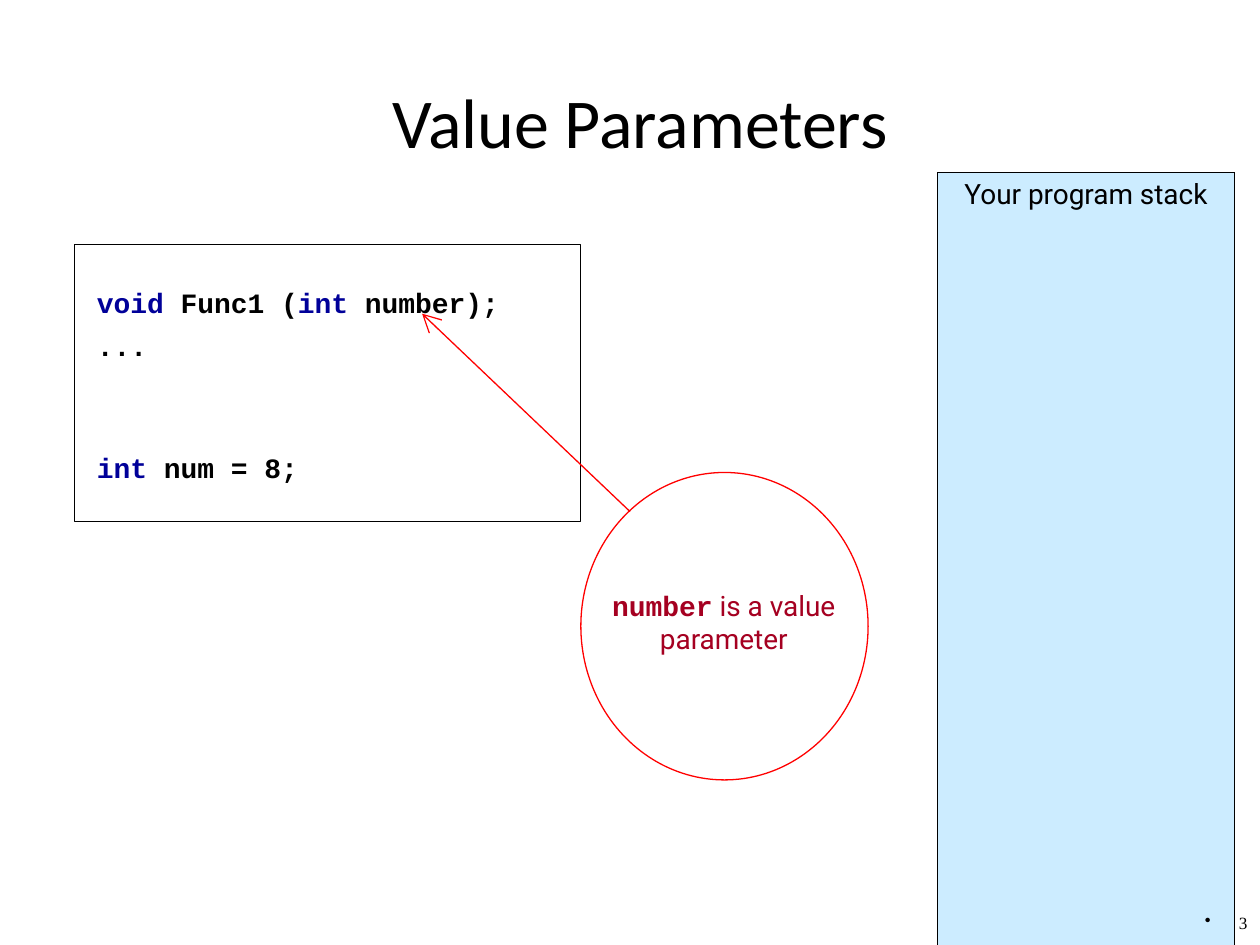
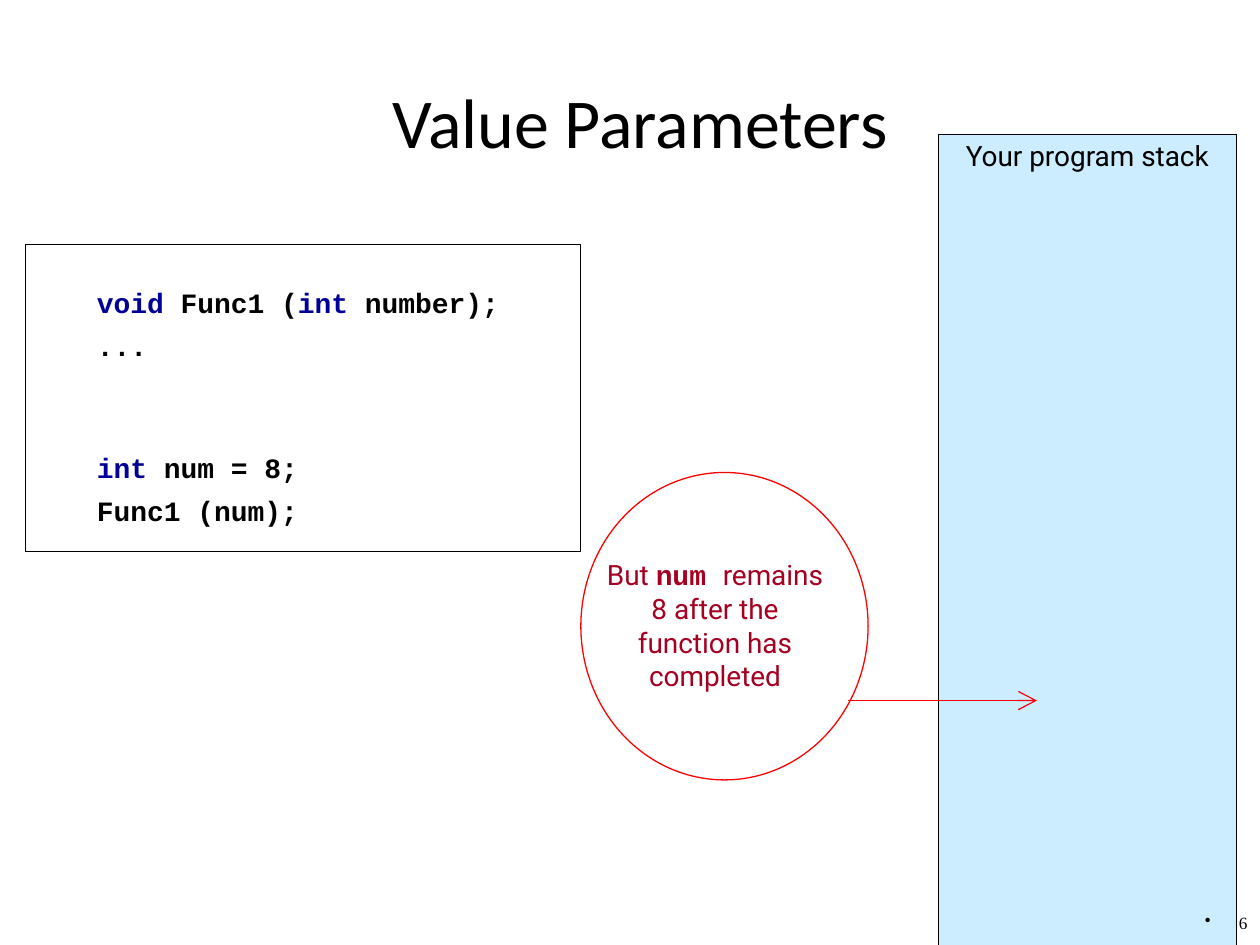
"""Build two slides on value parameters: code, callout and program stack."""
from lxml.etree import SubElement
from pptx import Presentation
from pptx.dml.color import RGBColor
from pptx.enum.shapes import MSO_CONNECTOR as Connector, MSO_SHAPE as Shape
from pptx.enum.text import MSO_ANCHOR as Anchor, PP_ALIGN as Align
from pptx.oxml.ns import qn
from pptx.util import Inches, Pt

BLACK = RGBColor(0x00, 0x00, 0x00)
KEYWORD = RGBColor(0x00, 0x00, 0x99)
CALLOUT = RGBColor(0xA5, 0x00, 0x21)
RED = RGBColor(0xFF, 0x00, 0x00)
STACK_BLUE = RGBColor(0xCC, 0xEC, 0xFF)

MONO, SANS, HEADING, SERIF = "Courier New", "Roboto", "Calibri", "Times New Roman"
TEXT_SIZE = 16
CODE_LEADING = 5
SECTION_LEADING = 51
STACK_ROWS = 13
STACK_COLUMNS = (8.6, 9.5, 23.6)
NO_TABLE_STYLE = "{2D5ABB26-0587-4C30-8999-92F81FD0307C}"

deck = Presentation()
deck.slide_width, deck.slide_height = Inches(10), Inches(7.5)
COLUMN = deck.slide_width / 100
ROW = deck.slide_height / 75


def grid(*cells):
    """Turn alternating column and row counts into lengths."""
    return [round(count * unit) for count, unit in zip(cells, (COLUMN, ROW) * 2)]


def write(paragraph, runs, size=TEXT_SIZE, align=Align.CENTER):
    """Add (text, font, colour, bold) runs to a paragraph."""
    paragraph.alignment = align
    for text, font, colour, bold in runs:
        run = paragraph.add_run()
        run.text = text
        run.font.name, run.font.size, run.font.bold = font, Pt(size), bold
        run.font.color.rgb = colour


declaration = [
    (CODE_LEADING, [("void", KEYWORD), (" Func1 (", BLACK), ("int", KEYWORD), (" number);", BLACK)]),
    (CODE_LEADING, [("...", BLACK)]),
    (SECTION_LEADING, [("int", KEYWORD), (" num = 8;", BLACK)]),
]
call = (CODE_LEADING, [("Func1 (num);", BLACK)])

steps = [
    {
        "number": "3",
        "code": declaration,
        "code_frame": (5.9, 19.4, 40.2, 22),
        "stack_origin": (56.3, 13.7),
        "remark": [("number", MONO, CALLOUT, True), (" is a value parameter", SANS, CALLOUT, False)],
        "remark_area": (47.6, 46.2, 19.7, 6.4),
        "arrow": (50, 40.6, 33.5, 24.9),
    },
    {
        "number": "6",
        "code": declaration + [call],
        "code_frame": (2, 19.4, 44.1, 24.4),
        "stack_origin": (56.4, 10.7),
        "remark": [
            ("But ", SANS, CALLOUT, False),
            ("num ", MONO, CALLOUT, True),
            ("remains 8 after the function has completed", SANS, CALLOUT, False),
        ],
        "remark_area": (46.9, 43.8, 19.7, 11.7),
        "arrow": (67.3, 55.6, 82.3, 55.6),
    },
]

for step in steps:
    slide = deck.slides.add_slide(deck.slide_layouts[6])

    title = slide.shapes.add_textbox(*grid(8.3, 6, 85, 7.1)).text_frame
    title.word_wrap = True
    title.vertical_anchor = Anchor.MIDDLE
    write(title.paragraphs[0], [("Value Parameters", HEADING, BLACK, False)], size=40)

    code = slide.shapes.add_textbox(*grid(6.7, 22.2, 47.2, 22)).text_frame
    code.word_wrap = True
    for index, (leading, tokens) in enumerate(step["code"]):
        line = code.add_paragraph() if index else code.paragraphs[0]
        if index:
            line.space_before = Pt(leading)
        write(line, [(text, MONO, colour, True) for text, colour in tokens], align=Align.LEFT)

    left, top = step["stack_origin"]
    stack_height = 75 - top
    stack_frame = slide.shapes.add_table(
        STACK_ROWS, len(STACK_COLUMNS), *grid(left, top, sum(STACK_COLUMNS), stack_height))
    stack_frame._element.find(".//" + qn("a:tableStyleId")).text = NO_TABLE_STYLE
    stack = stack_frame.table
    stack.first_row = stack.horz_banding = False
    for column, share in zip(stack.columns, STACK_COLUMNS):
        column.width = round(share * COLUMN)
    for index, row in enumerate(stack.rows):
        row.height = round(stack_height * ROW / STACK_ROWS)
        *blanks, slot = row.cells
        for blank in blanks:
            blank.fill.background()
        for side in ("L", "R") if index else ("L", "R", "T"):
            border = SubElement(slot._tc.get_or_add_tcPr(), qn("a:ln" + side), w=str(Pt(0.45)))
            paint = SubElement(border, qn("a:solidFill"))
            SubElement(paint, qn("a:srgbClr"), val=str(BLACK))
        slot.fill.solid()
        slot.fill.fore_color.rgb = STACK_BLUE
    write(stack.cell(0, 2).text_frame.paragraphs[0], [("Your program stack", SANS, BLACK, False)])

    footer = slide.shapes.add_textbox(*grid(93.6, 72.2, 6.4, 2.8)).text_frame
    footer.word_wrap = True
    page = footer.paragraphs[0]
    page.line_spacing = 0.8
    bullet_layout = page._p.get_or_add_pPr()
    bullet_layout.set("marL", str(Inches(0.27)))
    bullet_layout.set("indent", str(-Inches(0.27)))
    SubElement(bullet_layout, qn("a:buChar"), char="•")
    write(page, [(step["number"], SERIF, BLACK, False)], size=9.8, align=Align.RIGHT)

    remark = slide.shapes.add_textbox(*grid(*step["remark_area"])).text_frame
    remark.word_wrap = True
    write(remark.paragraphs[0], step["remark"])

    outlines = [
        (Shape.OVAL, (46.1, 37.5, 22.8, 24.4), RED),
        (Shape.RECTANGLE, step["code_frame"], BLACK),
    ]
    for kind, area, colour in outlines:
        outline = slide.shapes.add_shape(kind, *grid(*area))
        outline.shadow.inherit = False
        outline.fill.background()
        outline.line.color.rgb = colour
        outline.line.width = Pt(0.75)

    arrow = slide.shapes.add_connector(Connector.STRAIGHT, *grid(*step["arrow"]))
    arrow.line.color.rgb = RED
    arrow.line.width = Pt(0.75)
    SubElement(arrow.line._get_or_add_ln(), qn("a:tailEnd"), type="arrow", w="lg", len="lg")
    SubElement(arrow._element.spPr, qn("a:effectLst"))

deck.save("out.pptx")
